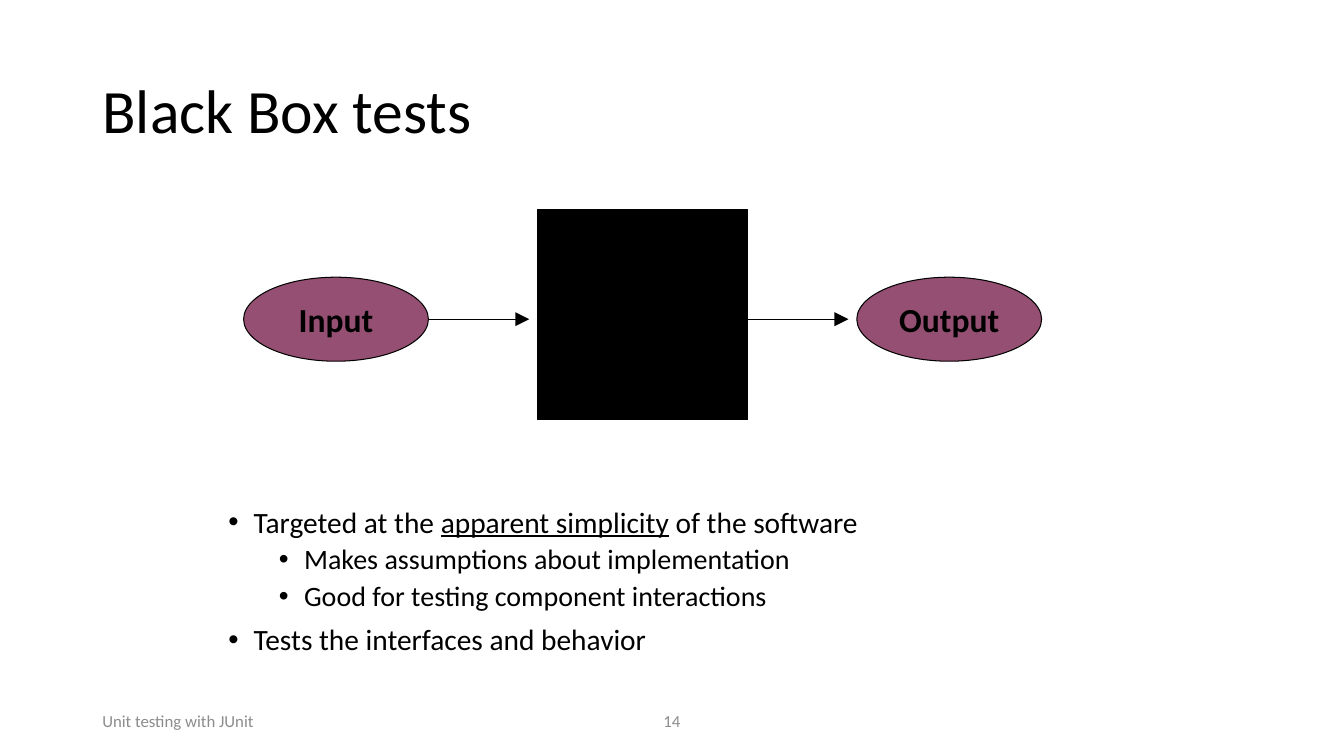
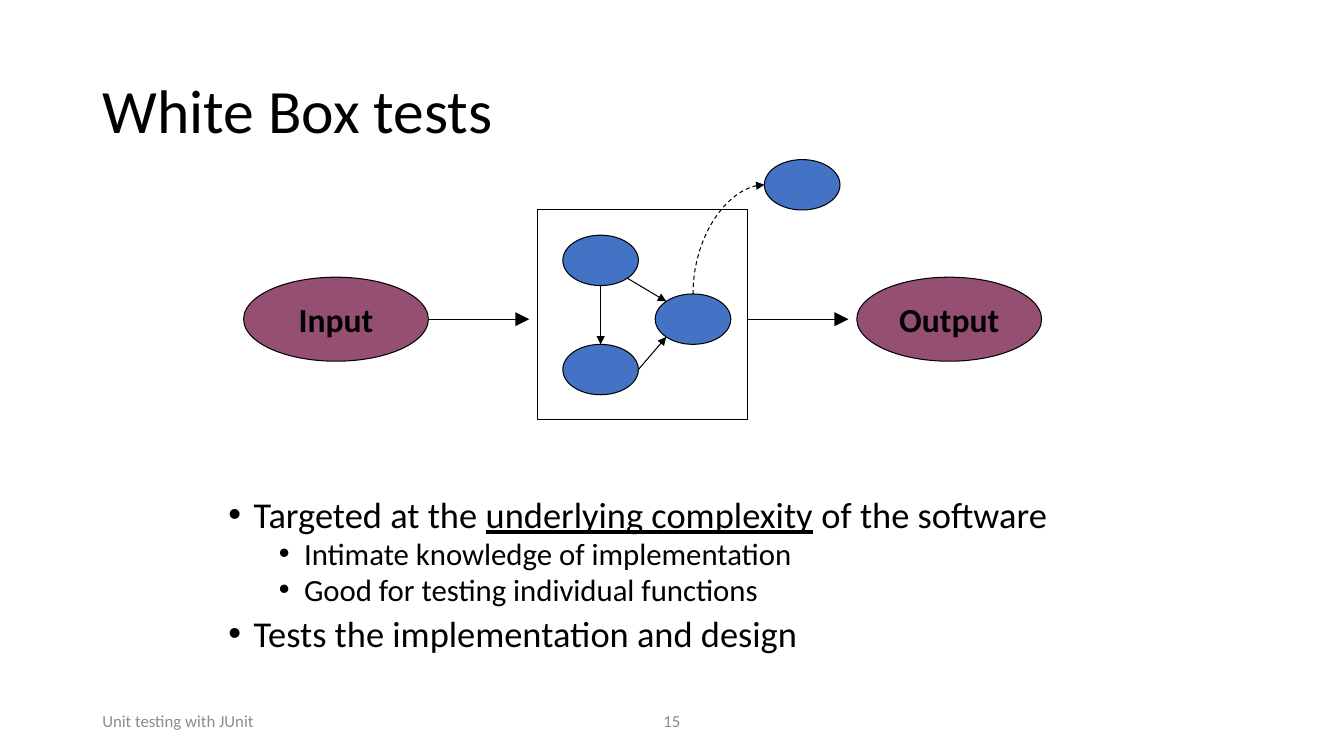
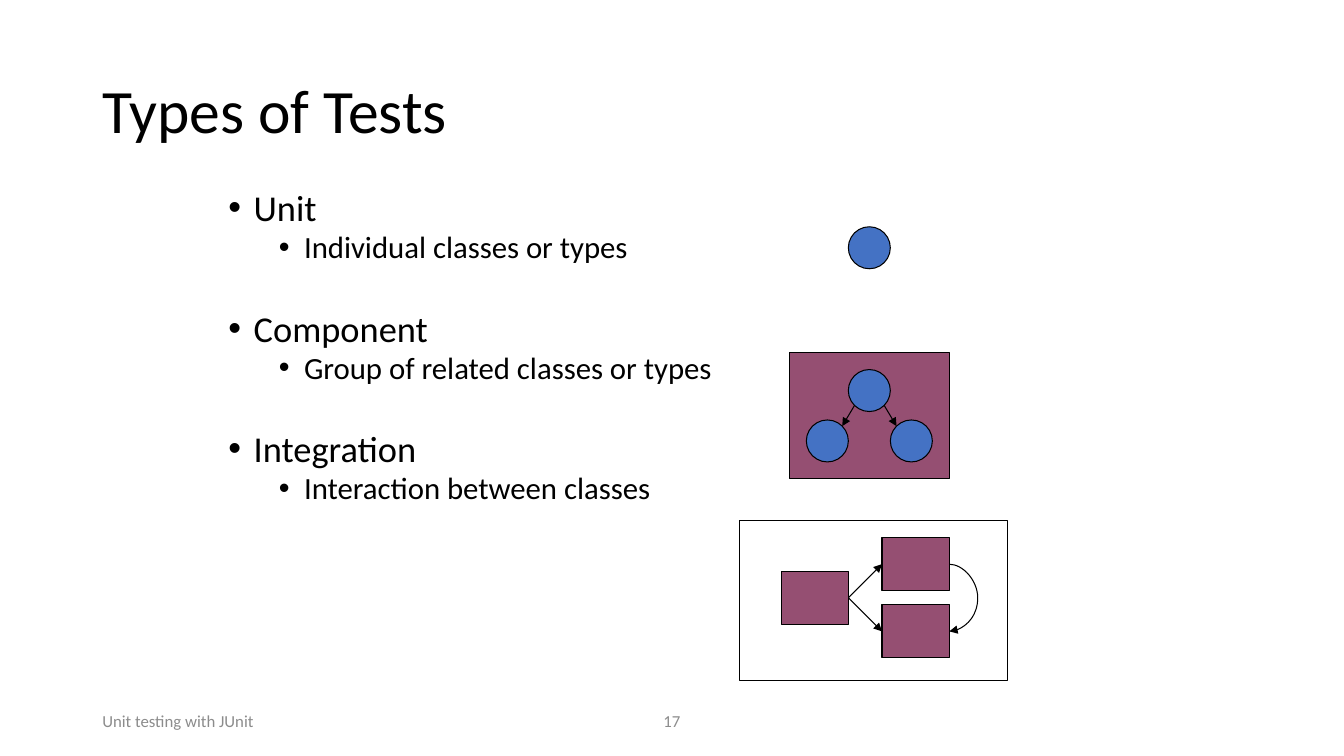
import math

import pptx
import pptx.dml.color
import pptx.enum.dml
import pptx.enum.shapes
import pptx.enum.text
import pptx.oxml.ns
import pptx.util
from lxml import etree

Pt = pptx.util.Pt
RGBColor = pptx.dml.color.RGBColor
SHAPE = pptx.enum.shapes.MSO_SHAPE
CONNECTOR = pptx.enum.shapes.MSO_CONNECTOR
ALIGN = pptx.enum.text.PP_ALIGN
ANCHOR = pptx.enum.text.MSO_ANCHOR
qn = pptx.oxml.ns.qn

BLACK = RGBColor(0x00, 0x00, 0x00)
WHITE = RGBColor(0xFF, 0xFF, 0xFF)
GRAY = RGBColor(0x8C, 0x8C, 0x8C)
PLUM = RGBColor(0x95, 0x4F, 0x72)
BLUE = RGBColor(0x44, 0x72, 0xC4)
FONT = "Calibri"
FOOTER = "Unit testing with JUnit"


def rim(shape, degrees):
    """Return the point, in points, on an ellipse's edge, clockwise from the right."""
    a = math.radians(degrees)
    return (shape.left.pt + shape.width.pt / 2 * (1 + math.cos(a)),
            shape.top.pt + shape.height.pt / 2 * (1 + math.sin(a)))


class Deck:
    """Hold the presentation, its style and the current slide."""

    def __init__(self):
        self.prs = pptx.Presentation()
        self.prs.slide_width, self.prs.slide_height = Pt(960), Pt(540)
        self.s = None

    def font(self, p, size, color=BLACK, bold=False):
        for r in p.runs:
            r.font.name, r.font.size, r.font.bold = FONT, Pt(size), bold
            r.font.color.rgb = color

    def place(self, sp, x, y, w, h):
        sp.left, sp.top, sp.width, sp.height = Pt(x), Pt(y), Pt(w), Pt(h)

    def slide(self, title, number):
        self.s = self.prs.slides.add_slide(self.prs.slide_layouts[1])
        sp = self.s.shapes.title
        self.place(sp, 66, 28.8, 828, 104.4)
        tf = sp.text_frame
        tf.text = title
        tf.auto_size = pptx.enum.text.MSO_AUTO_SIZE.NONE
        tf.vertical_anchor = ANCHOR.MIDDLE
        p = tf.paragraphs[0]
        p.alignment, p.line_spacing = ALIGN.LEFT, 0.9
        self.font(p, 44)
        self.footer(FOOTER, 66, 216, ALIGN.LEFT)
        self.footer(str(number), 318, 324, ALIGN.CENTER)

    def footer(self, text, x, w, align):
        tf = self.s.shapes.add_textbox(Pt(x), Pt(500.5), Pt(w), Pt(28.8)).text_frame
        tf.word_wrap = True
        tf.vertical_anchor = ANCHOR.MIDDLE
        tf.text = text
        tf.paragraphs[0].alignment = align
        self.font(tf.paragraphs[0], 12, GRAY)

    def bullets(self, box, items, sizes=(26, 22), spacing=0.8, gaps=(9, 4.5)):
        """Fill the body with (level, text) items; text between bars is underlined."""
        sp = self.s.placeholders[1]
        self.place(sp, *box)
        tf = sp.text_frame
        tf.auto_size = pptx.enum.text.MSO_AUTO_SIZE.NONE
        tf.vertical_anchor = ANCHOR.TOP
        for i, (level, text) in enumerate(items):
            p = tf.add_paragraph() if i else tf.paragraphs[0]
            p.level = level
            pPr = p._p.get_or_add_pPr()
            pPr.set("marL", str(Pt(18 + 36 * level)))
            pPr.set("indent", str(Pt(-18)))
            etree.SubElement(pPr, qn("a:buFont")).set("typeface", "Arial")
            etree.SubElement(pPr, qn("a:buChar")).set("char", "•")
            p.line_spacing = spacing
            p.space_before = Pt(gaps[level] if i else 0)
            for j, part in enumerate(text.split("|")):
                r = p.add_run()
                r.text = part
                r.font.underline = j % 2 == 1
            self.font(p, sizes[level])

    def shape(self, kind, x, y, w, h, fill, text=None):
        sp = self.s.shapes.add_shape(kind, Pt(x), Pt(y), Pt(w), Pt(h))
        sp.shadow.inherit = False
        sp.fill.solid()
        sp.fill.fore_color.rgb = fill
        sp.line.color.rgb, sp.line.width = BLACK, Pt(0.75)
        if text:
            tf = sp.text_frame
            tf.text = text
            tf.word_wrap = False
            tf.vertical_anchor = ANCHOR.MIDDLE
            tf.paragraphs[0].alignment = ALIGN.CENTER
            self.font(tf.paragraphs[0], 24, bold=True)
        return sp

    def arrow(self, start, end, kind=CONNECTOR.STRAIGHT, head="med", dashed=False):
        c = self.s.shapes.add_connector(kind, *(Pt(v) for v in (*start, *end)))
        c.line.color.rgb, c.line.width = BLACK, Pt(0.75)
        if dashed:
            c.line.dash_style = pptx.enum.dml.MSO_LINE.DASH
        spPr = c._element.spPr
        tail = etree.SubElement(spPr.find(qn("a:ln")), qn("a:tailEnd"))
        for key, value in (("type", "triangle"), ("w", head), ("len", head)):
            tail.set(key, value)
        etree.SubElement(spPr, qn("a:effectLst"))
        return c

    def join(self, a, b):
        """Link the right side of one rectangle to the left side of another."""
        c = self.arrow((0, 0), (1, 1))
        c.begin_connect(a, 3)
        c.end_connect(b, 1)

    def quarter_curve(self, start, end):
        """Draw a dashed arrow that leaves upwards and arrives rightwards."""
        (x1, y1), (x2, y2) = start, end
        cx, cy = (x1 + x2) / 2, (y1 + y2) / 2
        dx, dy = (y1 - y2) / 2, (x2 - x1) / 2
        c = self.arrow((cx - dx, cy - dy), (cx + dx, cy + dy), CONNECTOR.CURVE, dashed=True)
        spPr = c._element.spPr
        spPr.find(qn("a:xfrm")).set("rot", str(270 * 60000))
        spPr.find(qn("a:prstGeom")).set("prst", "curvedConnector2")

    def side_curve(self, x, y1, y2, bulge):
        """Draw an arrow that bows to the right between two points of one vertical."""
        width = 0.1
        c = self.arrow((x, y1), (x + width, y2), CONNECTOR.CURVE)
        geom = c._element.spPr.find(qn("a:prstGeom"))
        guides = geom.find(qn("a:avLst"))
        if guides is None:
            guides = etree.SubElement(geom, qn("a:avLst"))
        gd = etree.SubElement(guides, qn("a:gd"))
        gd.set("name", "adj1")
        gd.set("fmla", f"val {round(bulge / width * 100000)}")

    def flow(self, box_fill):
        """Draw input, box and output with their arrows."""
        self.shape(SHAPE.RECTANGLE, 384, 150, 150, 150, box_fill)
        for x, text in ((174, "Input"), (612, "Output")):
            self.shape(SHAPE.OVAL, x, 198, 132, 60, PLUM, text)
        for x in (306, 534):
            self.arrow((x, 228), (x + 72, 228), head="lg")

    def node(self, x, y, w=30, h=30):
        return self.shape(SHAPE.OVAL, x, y, w, h, BLUE)


def black_box(deck):
    deck.slide("Black Box tests", 14)
    deck.bullets((156, 359, 648, 118), [
        (0, "Targeted at the |apparent simplicity| of the software"),
        (1, "Makes assumptions about implementation"),
        (1, "Good for testing component interactions"),
        (0, "Tests the interfaces and behavior"),
    ], sizes=(21, 20), spacing=0.9)
    deck.flow(BLACK)


def white_box(deck):
    deck.slide("White Box tests", 15)
    deck.bullets((156, 354, 648, 132), [
        (0, "Targeted at the |underlying complexity| of the software"),
        (1, "Intimate knowledge of implementation"),
        (1, "Good for testing individual functions"),
        (0, "Tests the implementation and design"),
    ])
    deck.flow(WHITE)
    upper, lower, right, outside = [
        deck.node(x, y, 54, 36)
        for x, y in ((402, 168), (402, 246), (468, 210), (546, 114))]
    deck.arrow(rim(upper, 90), rim(lower, 270))
    deck.arrow(rim(upper, 45), rim(right, 225))
    deck.arrow(rim(lower, 0), rim(right, 135))
    deck.quarter_curve(rim(right, 270), rim(outside, 180))


def test_types(deck):
    deck.slide("Types of Tests", 17)
    deck.bullets((156, 135, 360, 347), [
        (0, "Unit"),
        (1, "Individual classes or types"),
        (0, "Component"),
        (1, "Group of related classes or types"),
        (0, "Integration"),
        (1, "Interaction between classes"),
    ], gaps=(35.5, 4.5))
    deck.node(606, 162)

    deck.shape(SHAPE.RECTANGLE, 564, 252, 114, 90, PLUM)
    parent = deck.node(606, 264)
    for x, leave, arrive in ((576, 135, 315), (636, 45, 225)):
        child = deck.node(x, 300)
        deck.arrow(rim(parent, leave), rim(child, arrive))

    deck.shape(SHAPE.RECTANGLE, 528, 372, 192, 114, WHITE)
    source, first, second = [
        deck.shape(SHAPE.RECTANGLE, x, y, 48, 38, PLUM)
        for x, y in ((558, 408), (630, 384), (630, 432))]
    deck.join(source, first)
    deck.join(source, second)
    deck.side_curve(678, 403, 451, 18)


def main():
    deck = Deck()
    black_box(deck)
    white_box(deck)
    test_types(deck)
    deck.prs.save("out.pptx")


if __name__ == "__main__":
    main()
